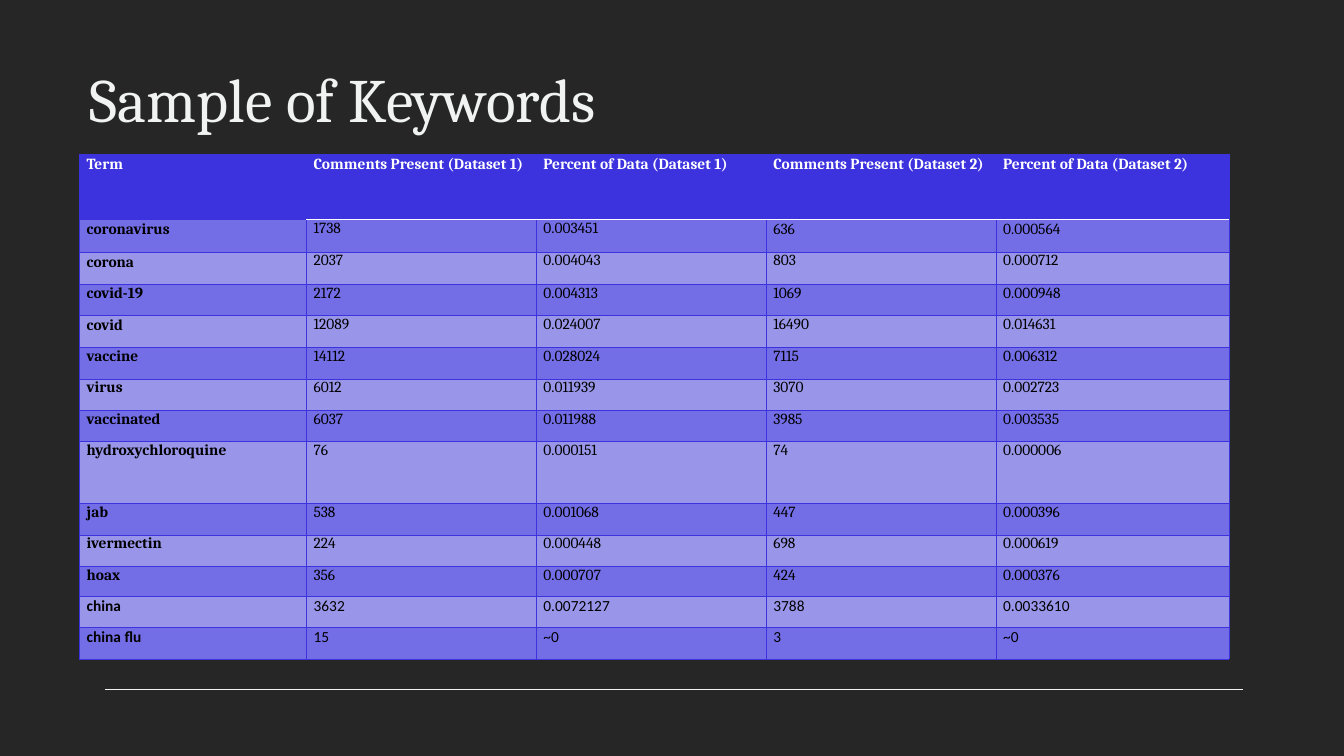
import lxml.etree
import pptx
import pptx.dml.color
import pptx.enum.shapes
import pptx.enum.text
import pptx.oxml.ns
import pptx.util
from dataclasses import dataclass

Inches = pptx.util.Inches

# Content
TITLE = "Sample of Keywords"
HEADER = (
    "Term",
    "Comments Present (Dataset 1)", "Percent of Data (Dataset 1)",
    "Comments Present (Dataset 2)", "Percent of Data (Dataset 2)",
)
KEYWORDS = [
    ("coronavirus", "1738", "0.003451", "636", "0.000564"),
    ("corona", "2037", "0.004043", "803", "0.000712"),
    ("covid-19", "2172", "0.004313", "1069", "0.000948"),
    ("covid", "12089", "0.024007", "16490", "0.014631"),
    ("vaccine", "14112", "0.028024", "7115", "0.006312"),
    ("virus", "6012", "0.011939", "3070", "0.002723"),
    ("vaccinated", "6037", "0.011988", "3985", "0.003535"),
    ("hydroxychloroquine", "76", "0.000151", "74", "0.000006"),
    ("jab", "538", "0.001068", "447", "0.000396"),
    ("ivermectin", "224", "0.000448", "698", "0.000619"),
    ("hoax", "356", "0.000707", "424", "0.000376"),
    ("china", "3632", "0.0072127", "3788", "0.0033610"),
    ("china flu", "15", "~0", "3", "~0"),
]
COLUMN_WIDTHS = (2.25, 2.28, 2.28, 2.28, 2.31)
ROW_HEIGHTS = (0.65, 0.32, 0.32, 0.31, 0.32, 0.31, 0.31,
               0.31, 0.62, 0.31, 0.31, 0.3, 0.31, 0.31)
LOOSE_CELLS = {(1, 0), (1, 3), (1, 4), (2, 0), (4, 0)}
SANS_TERMS = {"china", "china flu"}


@dataclass(frozen=True)
class Theme:
    background: str = "262626"
    light: str = "F0F3F2"
    accent: str = "3C32DE"
    band_dark: str = "736EE6"
    band_light: str = "9996EA"
    white: str = "FFFFFF"
    black: str = "000000"
    serif: str = "Cambria"
    sans: str = "Calibri"
    title_size: float = 44
    table_size: float = 11
    rule_width: float = 0.85
    grid_width: float = 0.5
    header_rule_width: float = 1


THEME = Theme()


def rgb(value):
    return pptx.dml.color.RGBColor.from_string(value)


def format_runs(paragraph, font_name, size, color, bold=False):
    for run in paragraph.runs:
        run.font.name = font_name
        run.font.size = pptx.util.Pt(size)
        run.font.color.rgb = rgb(color)
        run.font.bold = bold


def set_borders(cell, row, column):
    """Grid lines in the accent colour, with a white rule under the header."""
    properties = cell._tc.get_or_add_tcPr()
    for position, edge in enumerate(("lnL", "lnR", "lnT", "lnB")):
        under_header = column > 0 and (row, edge) in ((0, "lnB"), (1, "lnT"))
        color = THEME.white if under_header else THEME.accent
        width = THEME.header_rule_width if under_header else THEME.grid_width
        line = lxml.etree.Element(pptx.oxml.ns.qn(f"a:{edge}"), w=str(pptx.util.Pt(width)))
        fill = lxml.etree.SubElement(line, pptx.oxml.ns.qn("a:solidFill"))
        lxml.etree.SubElement(fill, pptx.oxml.ns.qn("a:srgbClr"), val=color)
        properties.insert(position, line)


def format_cell(cell, text, row, column, font_name):
    is_header = row == 0
    band = THEME.band_dark if row % 2 else THEME.band_light
    cell.fill.solid()
    cell.fill.fore_color.rgb = rgb(THEME.accent if is_header else band)
    cell.margin_left = cell.margin_right = Inches(0.07)
    cell.margin_top = cell.margin_bottom = 0
    cell.text_frame.text = text
    paragraph = cell.text_frame.paragraphs[0]
    if is_header or (row, column) in LOOSE_CELLS:
        paragraph.line_spacing = 1.07
    format_runs(paragraph, font_name, THEME.table_size,
                THEME.white if is_header else THEME.black,
                bold=is_header or column == 0)
    set_borders(cell, row, column)


def add_title(slide):
    title = slide.shapes.title
    title.left, title.top = Inches(0.79), Inches(0.2)
    title.width, title.height = Inches(11.4), Inches(1.19)
    title.text_frame.text = TITLE
    title.text_frame.vertical_anchor = pptx.enum.text.MSO_ANCHOR.BOTTOM
    paragraph = title.text_frame.paragraphs[0]
    paragraph.alignment = pptx.enum.text.PP_ALIGN.LEFT
    format_runs(paragraph, THEME.serif, THEME.title_size, THEME.light)


def add_keyword_table(slide):
    rows = [HEADER, *KEYWORDS]
    table = slide.shapes.add_table(
        len(rows), len(HEADER), Inches(0.79), Inches(1.53),
        Inches(sum(COLUMN_WIDTHS)), Inches(sum(ROW_HEIGHTS))).table
    for column, width in zip(table.columns, COLUMN_WIDTHS):
        column.width = Inches(width)
    for row, height in zip(table.rows, ROW_HEIGHTS):
        row.height = Inches(height)
    for row_index, values in enumerate(rows):
        font_name = THEME.sans if values[0] in SANS_TERMS else THEME.serif
        for column_index, text in enumerate(values):
            format_cell(table.cell(row_index, column_index), text,
                        row_index, column_index, font_name)


def add_footer_rule(slide):
    rule = slide.shapes.add_connector(
        pptx.enum.shapes.MSO_CONNECTOR.STRAIGHT,
        Inches(1.04), Inches(6.84), Inches(12.33), Inches(6.84))
    rule.line.color.rgb = rgb(THEME.light)
    rule.line.width = pptx.util.Pt(THEME.rule_width)
    lxml.etree.SubElement(rule._element.spPr, pptx.oxml.ns.qn("a:effectLst"))


def main():
    presentation = pptx.Presentation()
    presentation.slide_width = Inches(13.33)
    presentation.slide_height = Inches(7.5)
    slide = presentation.slides.add_slide(presentation.slide_layouts[5])

    # Background
    slide.background.fill.solid()
    slide.background.fill.fore_color.rgb = rgb(THEME.background)

    # Footer rule, title and table
    add_footer_rule(slide)
    add_title(slide)
    add_keyword_table(slide)
    presentation.save("out.pptx")


if __name__ == "__main__":
    main()
